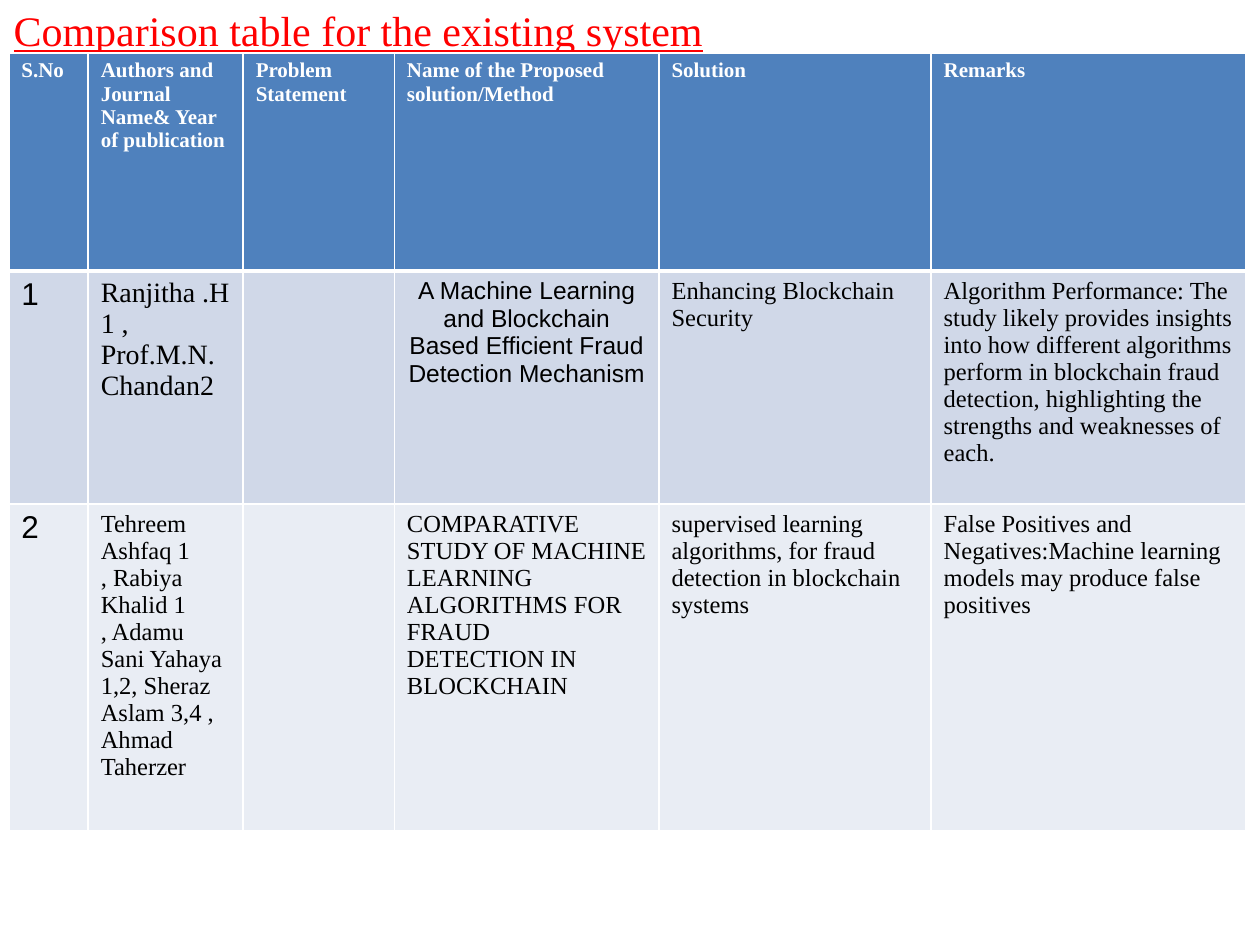
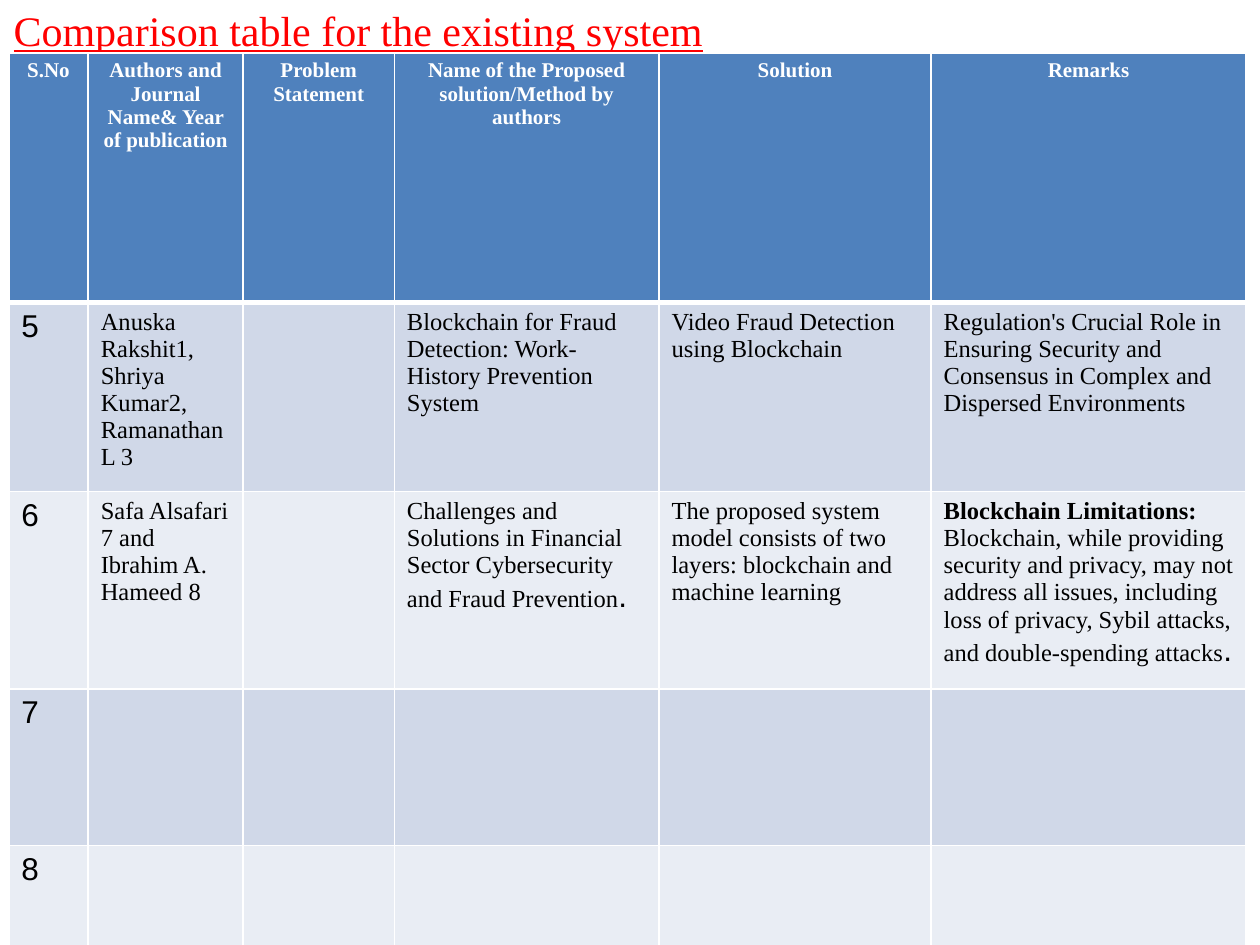
import pptx
import pptx.util
import pptx.dml.color
import pptx.enum.text
import pptx.oxml.ns
import lxml.etree

Inches = pptx.util.Inches
Pt = pptx.util.Pt
ALIGN = pptx.enum.text.PP_ALIGN

COLORS = {"title": "FF0000", "head": "4F81BD", "odd": "D0D8E8",
          "even": "E9EDF4", "white": "FFFFFF", "black": "000000"}
SERIF, SANS = "Times New Roman", "Arial"
STYLES = {
    "title": (24, SERIF, False, "title"),
    "head": (12, SERIF, True, "white"),
    "count": (18, SANS, False, "black"),
    "body": (14, SERIF, False, "black"),
    "bold": (14, SERIF, True, "black"),
    "large": (16, SERIF, False, "black"),
    "plain": (14, SANS, False, "black"),
}
TITLE = "Comparison table for the existing system"
COLS = [0.63, 1.23, 1.2, 2.1, 2.16, 2.5]
METHOD = "Name of the Proposed solution/Method"
STOP = (".", "count")


def heads(method):
    return ["S.No", "Authors and Journal Name& Year of publication",
            "Problem Statement", method, "Solution", "Remarks"]


SLIDES = [
    {
        "align": ALIGN.LEFT,
        "heights": [1.73, 1.85, 2.59],
        "rows": [
            heads(METHOD),
            ["1", [("Ranjitha .H1 , Prof.M.N.Chandan2", "large")], "",
             [("A Machine Learning and Blockchain Based Efficient Fraud\n"
               "Detection Mechanism", "plain")],
             "Enhancing Blockchain Security",
             "Algorithm Performance: The study likely provides insights into "
             "how different algorithms perform in blockchain fraud detection, "
             "highlighting the strengths and weaknesses of each."],
            ["2", "Tehreem Ashfaq 1\n, Rabiya Khalid 1\n"
             ", Adamu Sani Yahaya 1,2, Sheraz Aslam 3,4 , Ahmad Taherzer", "",
             "COMPARATIVE STUDY OF MACHINE\nLEARNING ALGORITHMS FOR FRAUD\n"
             "DETECTION IN BLOCKCHAIN",
             "supervised learning algorithms, for fraud detection in "
             "blockchain systems",
             "False Positives and Negatives:Machine learning models may "
             "produce false positives"],
        ],
    },
    {
        "align": ALIGN.CENTER,
        "heights": [1.98] + [1.24] * 4,
        "rows": [
            heads(METHOD + " by authors"),
            ["5", "Anuska Rakshit1, Shriya Kumar2, Ramanathan L 3", "",
             "Blockchain for Fraud Detection: Work-History Prevention System",
             "Video Fraud Detection using Blockchain",
             "Regulation's Crucial Role in Ensuring Security and Consensus in "
             "Complex and Dispersed Environments"],
            ["6", "Safa Alsafari 7 and Ibrahim A. Hameed 8", "",
             [("Challenges and Solutions in Financial Sector Cybersecurity "
               "and Fraud Prevention", "body"), STOP],
             "The proposed system model consists of two layers: blockchain "
             "and machine learning",
             [("Blockchain Limitations:", "bold"),
              (" Blockchain, while providing security and privacy, may not "
               "address all issues, including loss of privacy, Sybil attacks, "
               "and double-spending attacks", "body"), STOP]],
            ["7"] + [""] * 5,
            ["8"] + [""] * 5,
        ],
    },
]


def color(name):
    return pptx.dml.color.RGBColor.from_string(COLORS[name])


def write(frame, runs, align=ALIGN.LEFT):
    para = frame.paragraphs[0]
    for text, style in runs:
        size, face, bold, tint = STYLES[style]
        for i, line in enumerate(text.split("\n")):
            if i:
                para = frame.add_paragraph()
            para.alignment = align
            run = para.add_run()
            run.text = line
            run.font.size, run.font.name = Pt(size), face
            run.font.bold = bold
            run.font.color.rgb = color(tint)


def border(cell, is_head):
    props = cell._tc.get_or_add_tcPr()
    qn = pptx.oxml.ns.qn
    for side in "LRTB":
        width = 3 if is_head and side == "B" else 1
        line = lxml.etree.SubElement(props, qn("a:ln" + side), w=str(Pt(width)))
        fill = lxml.etree.SubElement(line, qn("a:solidFill"))
        lxml.etree.SubElement(fill, qn("a:srgbClr"), val=COLORS["white"])


def add_title(slide):
    box = slide.shapes.add_textbox(Inches(0.01), Inches(-0.01), Inches(9.83), Inches(0.5))
    box.text_frame.word_wrap = True
    box.text_frame.auto_size = pptx.enum.text.MSO_AUTO_SIZE.SHAPE_TO_FIT_TEXT
    write(box.text_frame, [(TITLE, "title")])
    box.text_frame.paragraphs[0].runs[0].font.underline = True


def add_grid(slide, data):
    rows, heights = data["rows"], data["heights"]
    grid = slide.shapes.add_table(len(rows), len(COLS), Inches(0.07), Inches(0.42),
                                  Inches(sum(COLS)), Inches(sum(heights))).table
    for col, width in zip(grid.columns, COLS):
        col.width = Inches(width)
    for r, row in enumerate(rows):
        grid.rows[r].height = Inches(heights[r])
        for c, value in enumerate(row):
            cell = grid.cell(r, c)
            border(cell, r == 0)
            cell.fill.solid()
            cell.fill.fore_color.rgb = color("head" if r == 0 else "odd" if r % 2 else "even")
            style = "head" if r == 0 else "count" if c == 0 else "body"
            runs = [(value, style)] if isinstance(value, str) else value
            align = ALIGN.LEFT
            if r == 0:
                align = data["align"]
            elif runs[0][1] == "plain":
                align = ALIGN.CENTER
            if value:
                write(cell.text_frame, runs, align)


deck = pptx.Presentation()
deck.slide_width, deck.slide_height = Inches(10), Inches(7.5)
for data in SLIDES:
    slide = deck.slides.add_slide(deck.slide_layouts[6])
    add_title(slide)
    add_grid(slide, data)
deck.save("out.pptx")
